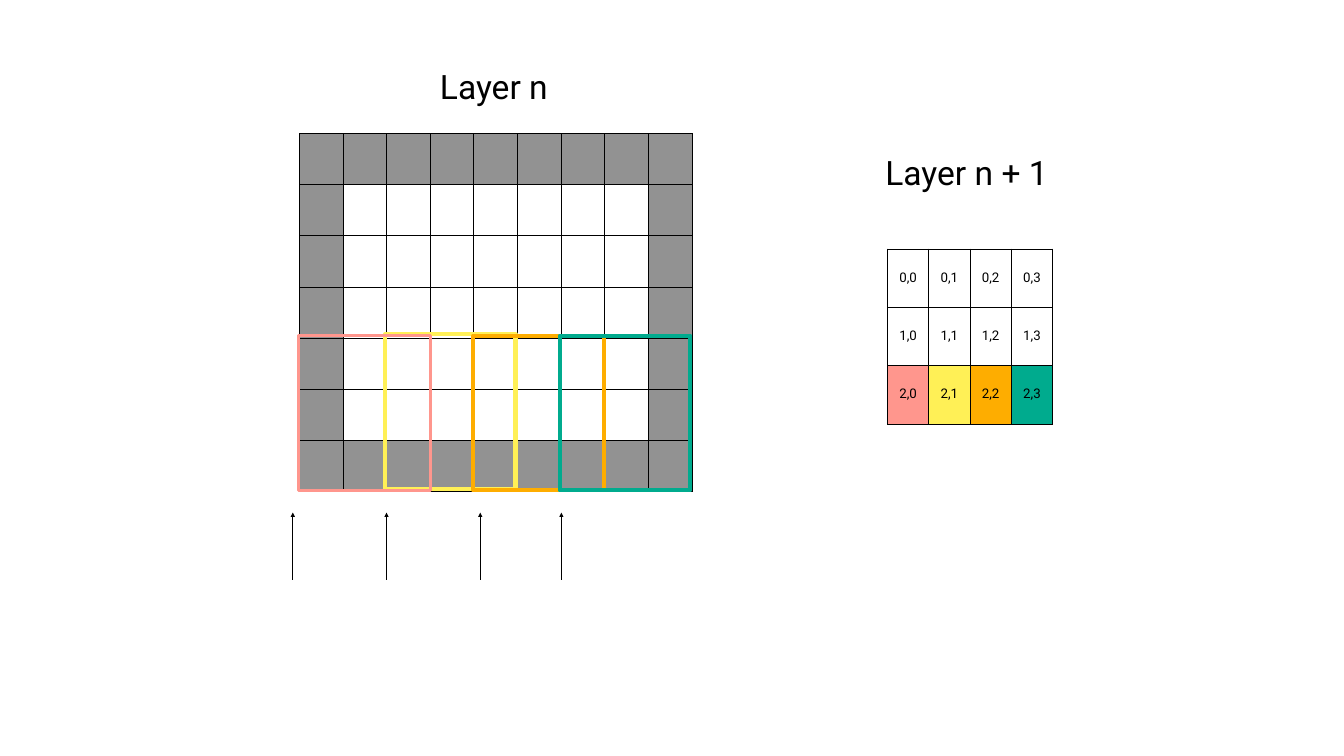
from dataclasses import dataclass

from lxml import etree
from pptx import Presentation
from pptx.dml.color import RGBColor
from pptx.enum import shapes, text
from pptx.oxml import ns
from pptx.util import Inches, Pt

COLORS = {
    "black": "000000",
    "padding": "929292",
    "pink": "FF968D",
    "yellow": "FFF056",
    "orange": "FEAD00",
    "green": "00AB8E",
}
FONT = "Roboto"
INSET = Inches(0.06)


@dataclass
class Grid:
    left: float
    top: float
    width: float
    height: float
    rows: int
    cols: int


@dataclass
class Window:
    left: float
    top: float
    width: float
    color: str
    weight: float


def rgb(name: str) -> RGBColor:
    return RGBColor.from_string(COLORS[name])


def write(tf, content: str, *, size: float, align=text.PP_ALIGN.LEFT) -> None:
    p = tf.paragraphs[0]
    p.alignment = align
    p.line_spacing = 0.9
    r = p.add_run()
    r.text = content
    r.font.size = Pt(size)
    r.font.name = FONT
    r.font.color.rgb = rgb("black")


def add_title(s, content: str, left: float, top: float, width: float) -> None:
    tf = s.shapes.add_textbox(Inches(left), Inches(top), Inches(width), Inches(0.88)).text_frame
    tf.word_wrap = False
    tf.auto_size = text.MSO_AUTO_SIZE.SHAPE_TO_FIT_TEXT
    tf.vertical_anchor = text.MSO_ANCHOR.MIDDLE
    tf.margin_left = tf.margin_right = tf.margin_top = tf.margin_bottom = INSET
    write(tf, content, size=48)


def add_borders(cell) -> None:
    props = cell._tc.get_or_add_tcPr()
    for i, side in enumerate(("lnL", "lnR", "lnT", "lnB")):
        ln = etree.Element(ns.qn(f"a:{side}"), w=str(Pt(1)))
        fill = etree.SubElement(ln, ns.qn("a:solidFill"))
        etree.SubElement(fill, ns.qn("a:srgbClr"), val=COLORS["black"])
        props.insert(i, ln)


def add_grid(s, g: Grid, fills: dict, labels: bool = False) -> None:
    """Draw a bordered table; fills maps (row, column) to a colour name."""
    table = s.shapes.add_table(g.rows, g.cols, Inches(g.left), Inches(g.top),
                               Inches(g.width), Inches(g.height)).table
    table.first_row = table.horz_banding = False
    for column in table.columns:
        column.width = Inches(g.width / g.cols)
    for row in table.rows:
        row.height = Inches(g.height / g.rows)
    for i in range(g.rows):
        for j in range(g.cols):
            cell = table.cell(i, j)
            if (i, j) in fills:
                cell.fill.solid()
                cell.fill.fore_color.rgb = rgb(fills[i, j])
            else:
                cell.fill.background()
            add_borders(cell)
            if labels:
                cell.vertical_anchor = text.MSO_ANCHOR.MIDDLE
                cell.margin_left = cell.margin_right = INSET
                cell.margin_top = cell.margin_bottom = INSET
                write(cell.text_frame, f"{i},{j}", size=19, align=text.PP_ALIGN.CENTER)


def add_window(s, w: Window) -> None:
    sp = s.shapes.add_shape(shapes.MSO_SHAPE.RECTANGLE, Inches(w.left), Inches(w.top),
                            Inches(w.width), Inches(3.07))
    sp.shadow.inherit = False
    sp.fill.background()
    sp.line.color.rgb = rgb(w.color)
    sp.line.width = Pt(w.weight)


def add_arrow(s, x: float) -> None:
    arrow = s.shapes.add_connector(shapes.MSO_CONNECTOR.STRAIGHT, Inches(x), Inches(11.5),
                                   Inches(x), Inches(10.17))
    arrow.line.color.rgb = rgb("black")
    arrow.line.width = Pt(2)
    etree.SubElement(arrow.line._get_or_add_ln(), ns.qn("a:tailEnd"), type="triangle")
    etree.SubElement(arrow._element.spPr, ns.qn("a:effectLst"))


def main() -> None:
    prs = Presentation()
    prs.slide_width, prs.slide_height = Inches(26.67), Inches(15)
    s = prs.slides.add_slide(prs.slide_layouts[6])

    # Input layer with a padded rim
    layer = Grid(5.94, 2.65, 7.79, 7.1, rows=7, cols=9)
    rim = {(i, j): "padding" for i in range(layer.rows) for j in range(layer.cols)
           if i in (0, layer.rows - 1) or j in (0, layer.cols - 1)}
    add_grid(s, layer, rim)

    # Output layer, last row coloured like the windows
    next_layer = Grid(17.61, 4.94, 3.28, 3.47, rows=3, cols=4)
    last_row = {(2, j): name for j, name in enumerate(("pink", "yellow", "orange", "green"))}
    add_grid(s, next_layer, last_row, labels=True)
    add_title(s, "Layer n + 1", 17.51, 3.02, 3.46)

    # Sliding windows
    for window in (
        Window(7.64, 6.63, 2.59, "yellow", 6),
        Window(5.92, 6.66, 2.62, "pink", 4),
        Window(9.39, 6.66, 2.59, "orange", 6),
        Window(11.11, 6.66, 2.59, "green", 6),
    ):
        add_window(s, window)

    # Stride arrows
    for x in (5.81, 7.67, 11.14, 9.53):
        add_arrow(s, x)
    add_title(s, "Layer n", 8.67, 1.32, 2.32)

    prs.save("out.pptx")


if __name__ == "__main__":
    main()
